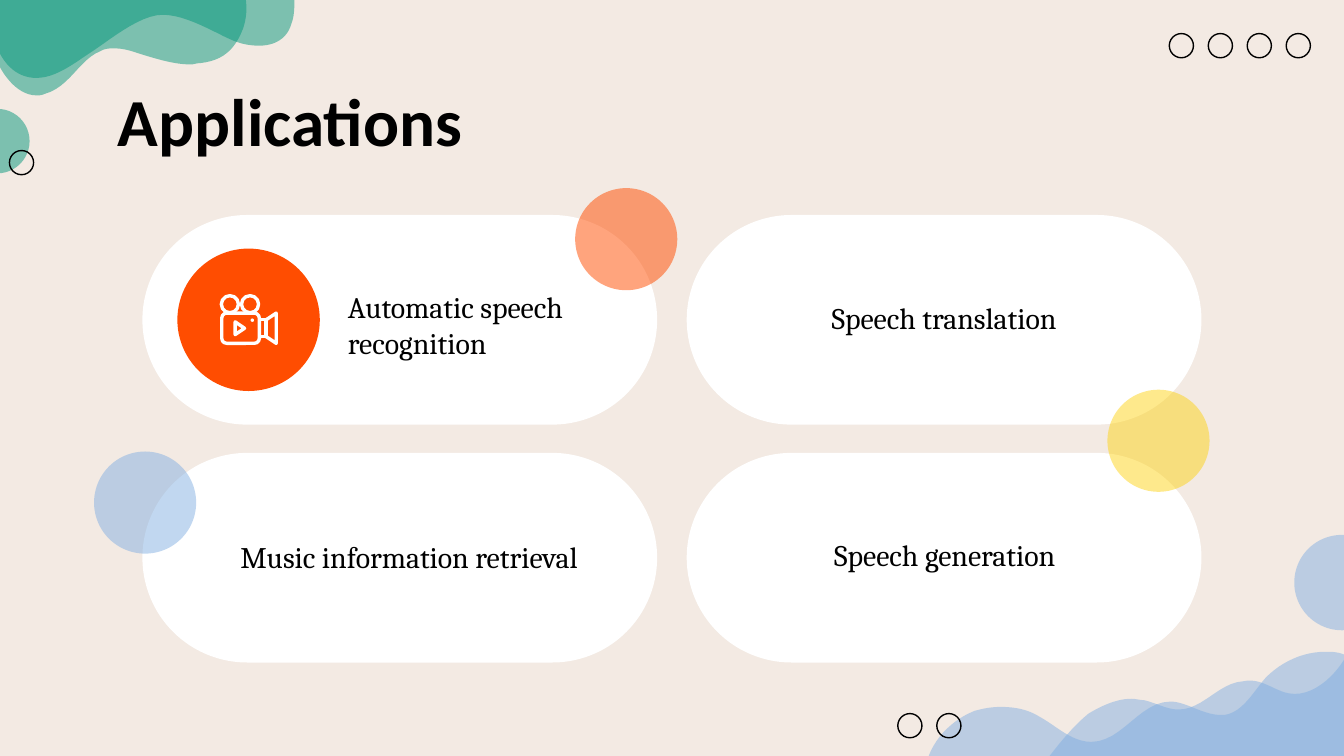
from lxml.etree import SubElement
from pptx import Presentation
from pptx.dml.color import RGBColor
from pptx.enum.shapes import MSO_SHAPE as Form
from pptx.enum.text import MSO_ANCHOR as Anchor, PP_ALIGN as Align
from pptx.oxml.ns import qn
from pptx.util import Inches, Pt

theme = {
    "background": "F3EAE3", "card": "FFFFFF", "ink": "000000",
    "green": ("01967A", 49), "blue": ("7CACE1", 47),
    "orange": ("FF4D01", 51), "yellow": ("FED002", 45),
    "accent": ("FF4D01", 100), "white": ("FFFFFF", 100),
    "title_font": "Calibri", "title_size": 36,
    "body_font": "Cambria", "body_size": 16,
    "ring_line": 0.75, "icon_line": 1.8,
}

deck = Presentation()
deck.slide_width, deck.slide_height = Inches(10), Inches(5.625)
page = deck.slides.add_slide(deck.slide_layouts[6])
page.background.fill.solid()
page.background.fill.fore_color.rgb = RGBColor.from_string(theme["background"])
column = deck.slide_width / 100


def draw(form, places, tint=None, line=None, weight=0):
    if form is None:
        points = [(x * column, y * column) for x, y in places]
        builder = page.shapes.build_freeform(*points[0])
        builder.add_line_segments(points[1:], close=True)
        shape = builder.convert_to_shape()
    else:
        shape = page.shapes.add_shape(form, *[round(place * column) for place in places])
    shape.shadow.inherit = False
    if tint:
        colour, opacity = tint
        shape.fill.solid()
        shape.fill.fore_color.rgb = RGBColor.from_string(colour)
        if opacity < 100:
            colour_node = shape.fill._xPr.find(qn("a:solidFill"))[0]
            SubElement(colour_node, qn("a:alpha")).set("val", str(opacity * 1000))
    else:
        shape.fill.background()
    if line:
        shape.line.color.rgb = RGBColor.from_string(line)
        shape.line.width = Pt(weight)
    else:
        shape.line.fill.background()
    return shape


def bend(corners, chain, steps=12):
    points = list(corners)
    for first in range(0, len(chain), 3):
        a, (b, c, d) = points[-1], chain[first:first + 3]
        for step in range(1, steps + 1):
            t = step / steps
            u = 1 - t
            points.append(tuple(
                u**3 * a[i] + 3 * u * u * t * b[i] + 3 * u * t * t * c[i] + t**3 * d[i]
                for i in (0, 1)))
    return points


waves = [
    ("green", [(0, 0), (0, 5)],
     [(0.6, 6.1), (1.6, 7.1), (2.7, 7.1), (2.9, 7.1), (3.1, 7.1), (3.3, 7),
      (5.2, 6.5), (5.9, 4.4), (7.5, 3.8), (7.8, 3.6), (8.2, 3.6), (8.5, 3.6),
      (9.2, 3.6), (9.8, 3.8), (10.4, 4), (11.7, 4.4), (13, 4.8), (14.2, 4.8),
      (14.4, 4.8), (14.6, 4.7), (14.9, 4.7), (16.6, 4.5), (17.5, 3.7), (18.1, 2.1),
      (18.3, 1.5), (18.4, 0.8), (18.3, 0)]),
    ("green", [(0, 0), (0, 4)],
     [(0.6, 5.1), (1.5, 5.8), (2.7, 5.8), (4.1, 5.8), (5.4, 4.8), (6.6, 4),
      (7.9, 3.2), (10.3, 1.1), (12.1, 1.1), (13.9, 1.1), (16.1, 2.5), (17.3, 3),
      (18, 3.3), (18.7, 3.4), (19.3, 3.4), (20.4, 3.4), (21.4, 2.9), (21.7, 1.7),
      (21.9, 1.2), (21.9, 0.6), (21.9, 0)]),
    ("blue", [(100, 49.1), (100, 56.25), (78.1, 56.25)],
     [(79, 55.1), (79.9, 54), (81, 53.1), (82, 52.5), (83.1, 52), (84.2, 52),
      (84.5, 52), (84.8, 52.1), (85.1, 52.1), (86, 52.3), (86.8, 52.8), (87.7, 52.8),
      (89.5, 52.8), (90.7, 50.8), (92.5, 50.7), (93.8, 50.4), (94.8, 51.4), (95.9, 51.6),
      (97.6, 51.9), (99.2, 50.4), (100, 49.1)]),
    ("blue", [(100, 56.25), (100, 48.7)],
     [(99.5, 48.5), (99.1, 48.5), (98.6, 48.5), (97, 48.5), (95.4, 49.2), (94.2, 50.4),
      (93.3, 51.4), (92.5, 53), (91.1, 53.2), (89.6, 53.3), (88.3, 52.2), (87.1, 52.2),
      (84.8, 52.2), (83.5, 55.2), (81.2, 55.2), (79.7, 55.2), (78.6, 54), (77.3, 53.3),
      (76.5, 52.8), (75.5, 52.6), (74.5, 52.6), (73.8, 52.6), (73.2, 52.7), (72.5, 52.9),
      (71, 53.5), (69.7, 54.7), (69.1, 56.25)]),
]
for tint, corners, chain in waves:
    draw(None, bend(corners, chain), theme[tint])

draw(Form.OVAL, (-2.6, 8.1, 4.8, 4.8), theme["green"])
draw(Form.OVAL, (96.3, 39.8, 7.1, 7.1), theme["blue"])

for left, top, count in [(87, 2.5, 4), (0.7, 11.2, 1), (66.8, 53.1, 2)]:
    for ring in range(count):
        draw(Form.OVAL, (left + 2.9 * ring, top, 1.8, 1.8),
             line=theme["ink"], weight=theme["ring_line"])

for row in range(2):
    for col in range(2):
        card = draw(Form.ROUNDED_RECTANGLE,
                    (10.6 + 40.5 * col, 16 + 17.7 * row, 38.3, 15.6), theme["white"])
        card.adjustments[0] = 0.5

draw(Form.OVAL, (13.2, 18.5, 10.6, 10.6), theme["accent"])

labels = [
    ("Applications", (7.8, 4.9, 84.4, 8.1), "title", Align.LEFT, Anchor.TOP, 0),
    ("Automatic speech recognition", (24.9, 20.5, 20.9, 6.7), "body", Align.LEFT, Anchor.TOP, 0),
    ("Music information retrieval", (12.8, 39.1, 33.8, 9.1), "body", Align.CENTER, Anchor.TOP, 1.5),
    ("Speech translation", (56, 20.3, 28.5, 6.7), "body", Align.CENTER, Anchor.MIDDLE, 0),
    ("Speech generation", (53.4, 38.9, 33.8, 9.1), "body", Align.CENTER, Anchor.TOP, 0),
]
for words, places, role, align, anchor, indent in labels:
    box = page.shapes.add_textbox(*[round(place * column) for place in places])
    frame = box.text_frame
    frame.word_wrap = True
    frame.vertical_anchor = anchor
    frame.margin_left = frame.margin_right = round(column)
    frame.margin_top = frame.margin_bottom = round(column)
    frame.text = words
    para = frame.paragraphs[0]
    para.alignment = align
    if indent:
        para._p.get_or_add_pPr().set("marL", str(round(indent * column)))
    span = para.runs[0]
    span.font.name = theme[role + "_font"]
    span.font.size = Pt(theme[role + "_size"])
    span.font.bold = role == "title"
    span.font.color.rgb = RGBColor.from_string(theme["ink"])

camera = [
    (Form.OVAL, (16.47, 22, 1.27, 1.27)),
    (Form.OVAL, (17.97, 22, 1.27, 1.27)),
    (Form.ROUNDED_RECTANGLE, (16.5, 23.3, 2.8, 2.25)),
    (Form.RECTANGLE, (19.3, 23.8, 0.5, 1.25)),
    (None, [(19.8, 23.8), (20.55, 23.3), (20.55, 25.55), (19.8, 25.05)]),
    (None, [(17.5, 23.95), (18.2, 24.43), (17.5, 24.9)]),
]
for form, places in camera:
    draw(form, places, line=theme["card"], weight=theme["icon_line"])
draw(Form.OVAL, (18.65, 23.7, 0.25, 0.25), theme["white"])

for left, top, tint in [(42.8, 14, "orange"), (7, 33.6, "blue"), (82.4, 29, "yellow")]:
    draw(Form.OVAL, (left, top, 7.6, 7.6), theme[tint])

deck.save("out.pptx")
